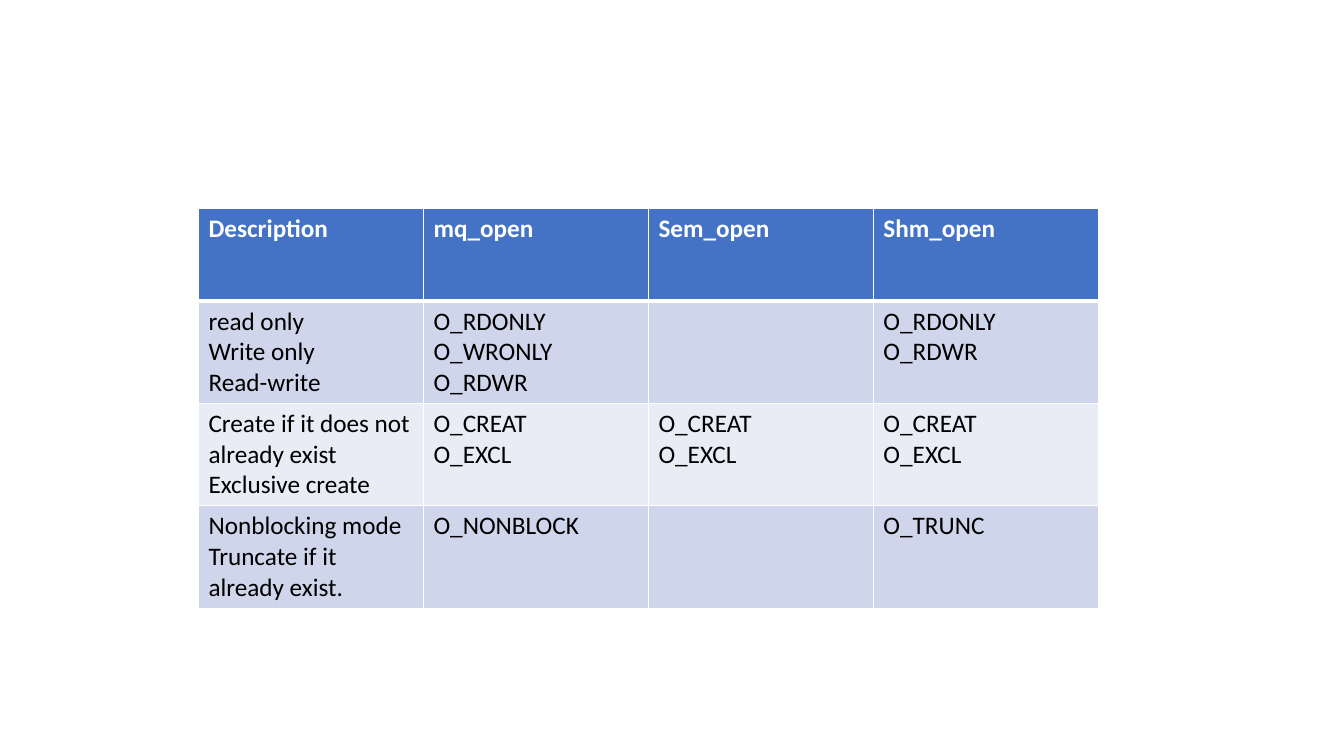
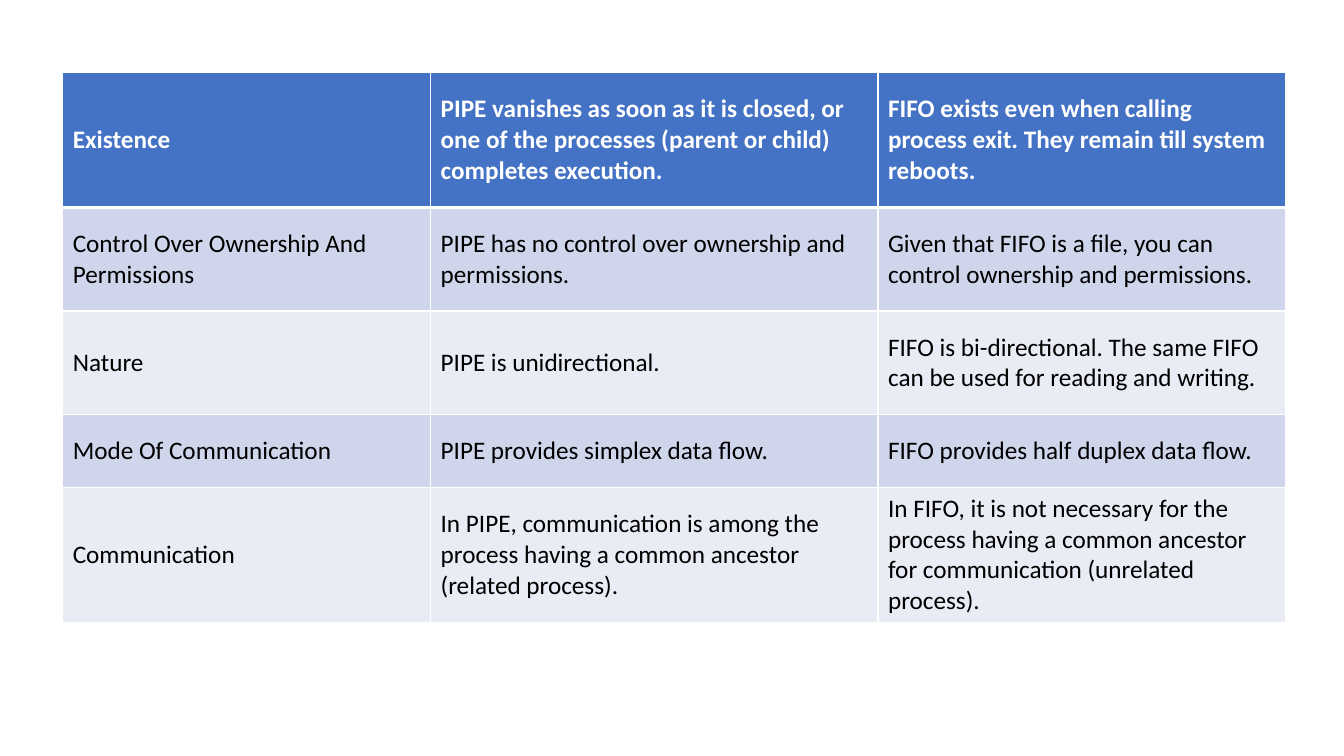
from lxml import etree
from pptx import Presentation
from pptx.dml.color import RGBColor
from pptx.enum import text
from pptx.oxml import ns
from pptx.util import Pt

FONT = "Calibri"
WHITE = RGBColor(0xFF, 0xFF, 0xFF)
BLACK = RGBColor(0x00, 0x00, 0x00)
HEADER_BLUE = RGBColor(0x44, 0x72, 0xC4)
BAND_COLOURS = [RGBColor(0xE9, 0xEB, 0xF5), RGBColor(0xCF, 0xD5, 0xEA)]
THIN, THICK = 1, 3


def write_text(cell, content, size=18, colour=BLACK, bold=False,
               anchor=text.MSO_ANCHOR.TOP):
    """Write one paragraph per line of content."""
    cell.text = content
    cell.vertical_anchor = anchor
    for paragraph in cell.text_frame.paragraphs:
        paragraph.font.size = Pt(size)
        for run in paragraph.runs:
            run.font.name = FONT
            run.font.size = Pt(size)
            run.font.bold = bold
            run.font.color.rgb = colour


def set_borders(cell, top=THIN, bottom=THIN):
    """Draw white lines on all four sides; they precede the fill in the XML."""
    properties = cell._tc.get_or_add_tcPr()
    widths = {"a:lnL": THIN, "a:lnR": THIN, "a:lnT": top, "a:lnB": bottom}
    for position, (tag, width) in enumerate(widths.items()):
        line = etree.Element(ns.qn(tag), w=str(Pt(width)))
        fill = etree.SubElement(line, ns.qn("a:solidFill"))
        etree.SubElement(fill, ns.qn("a:srgbClr"), val=str(WHITE))
        properties.insert(position, line)


# Contents and layout of the tables
open_flags = {
    "left": 141.8, "top": 149,
    "widths": [160.7] * 4,
    "heights": [66] * 4,
    "anchor": text.MSO_ANCHOR.TOP,
    "rows": [
        ["Description", "mq_open", "Sem_open", "Shm_open"],
        ["read only\nWrite only\nRead-write", "O_RDONLY\nO_WRONLY\nO_RDWR",
         "", "O_RDONLY\nO_RDWR"],
        ["Create if it does not already exist\nExclusive create"]
        + ["O_CREAT\nO_EXCL"] * 3,
        ["Nonblocking mode\nTruncate if it already exist.", "O_NONBLOCK",
         "", "O_TRUNC"],
    ],
}
pipe_and_fifo = {
    "left": 44.8, "top": 51.8,
    "widths": [262.8, 319.6, 291],
    "heights": [96.4, 74, 74, 52, 96.4],
    "anchor": text.MSO_ANCHOR.MIDDLE,
    "rows": [
        ["Existence",
         "PIPE vanishes as soon as it is closed, or one of the processes "
         "(parent or child) completes execution.",
         "FIFO exists even when calling process exit. "
         "They remain till system reboots."],
        ["Control Over Ownership And Permissions",
         "PIPE has no control over ownership and permissions.",
         "Given that FIFO is a file, you can control ownership and permissions."],
        ["Nature",
         "PIPE is unidirectional.",
         "FIFO is bi-directional. The same FIFO can be used for reading and writing."],
        ["Mode Of Communication",
         "PIPE provides simplex data flow.",
         "FIFO provides half duplex data flow."],
        ["Communication",
         "In PIPE, communication is among the process having a common ancestor "
         "(related process).",
         "In FIFO, it is not necessary for the process having a common ancestor "
         "for communication (unrelated process)."],
    ],
}

presentation = Presentation()
presentation.slide_width = Pt(960)
presentation.slide_height = Pt(540)
blank_layout = presentation.slide_layouts[6]

# One slide per table
for content in (open_flags, pipe_and_fifo):
    slide = presentation.slides.add_slide(blank_layout)
    widths, heights, rows = content["widths"], content["heights"], content["rows"]
    table = slide.shapes.add_table(
        len(rows), len(widths), Pt(content["left"]), Pt(content["top"]),
        Pt(sum(widths)), Pt(sum(heights))).table
    for column, width in zip(table.columns, widths):
        column.width = Pt(width)

    # Blue header row, then alternating bands
    for row_index, (row, height) in enumerate(zip(rows, heights)):
        table.rows[row_index].height = Pt(height)
        is_header = row_index == 0
        for column_index, words in enumerate(row):
            cell = table.cell(row_index, column_index)
            write_text(cell, words, colour=WHITE if is_header else BLACK,
                       bold=is_header, anchor=content["anchor"])
            cell.fill.solid()
            cell.fill.fore_color.rgb = (
                HEADER_BLUE if is_header else BAND_COLOURS[row_index % 2])
            set_borders(cell, top=THICK if row_index == 1 else THIN,
                        bottom=THICK if is_header else THIN)

presentation.save("out.pptx")
